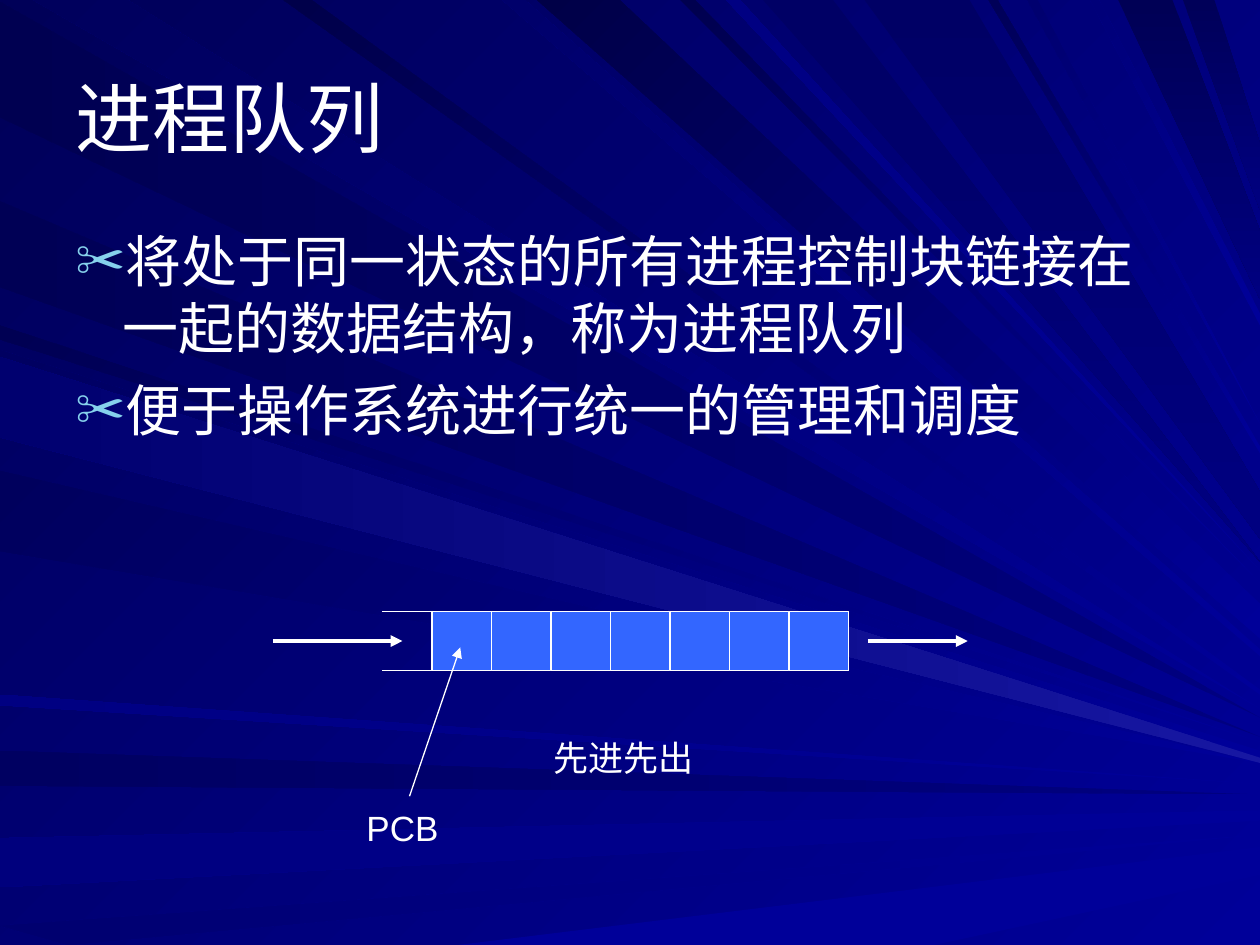
from dataclasses import dataclass

from lxml.etree import SubElement
from pptx import Presentation
from pptx.dml.color import RGBColor as Color
from pptx.enum.shapes import MSO_CONNECTOR as Connector, MSO_SHAPE as Shape
from pptx.enum.text import MSO_ANCHOR as Anchor
from pptx.oxml.ns import qn
from pptx.util import Pt


@dataclass(frozen=True)
class Theme:
    font: str = "Arial"
    white: str = "FFFFFF"
    cell: str = "3366FF"
    bullet: str = "86D1EC"
    bright: str = "000099"
    middle: str = "000080"
    dark: str = "000058"
    title: int = 44
    body: int = 32
    label: int = 20
    thin: float = 0.75
    thick: float = 2.25


theme = Theme()
wide, high = 720, 540


def paint(fill, start, end, angle):
    fill.gradient()
    fill.gradient_angle = angle
    for stop, shade in zip(fill.gradient_stops, (start, end)):
        stop.color.rgb = Color.from_string(shade)


def add_text(left, top, width, height, lines, size, before=0):
    box = page.shapes.add_textbox(Pt(left), Pt(top), Pt(width), Pt(height))
    frame = box.text_frame
    frame.word_wrap = True
    for index, line in enumerate(lines):
        para = frame.paragraphs[0] if index == 0 else frame.add_paragraph()
        para.space_before = Pt(before)
        span = para.add_run()
        span.text = line
        span.font.name = theme.font
        span.font.size = Pt(size)
        span.font.color.rgb = Color.from_string(theme.white)
    return frame


deck = Presentation()
deck.slide_width, deck.slide_height = Pt(wide), Pt(high)
page = deck.slides.add_slide(deck.slide_layouts[6])
across, diagonal, down = 180, 135, 270
paint(page.background.fill, theme.bright, theme.dark, diagonal)

rays = [
    (theme.middle, "000051", across, -67, -1, 410),
    (theme.bright, "00005D", diagonal, 19, 73, 405),
    (theme.middle, "000061", across, -449, -429, 454),
    (theme.bright, "00007D", across, -507, -479, 463, 469),
    (theme.bright, "00006F", across, -579, -529, 477),
    (theme.bright, theme.bright, across, -1074, -802, 484, 500),
    (theme.bright, "000053", diagonal, -194, -186, 424),
    (theme.middle, "000055", across, -164, -115, 421),
    (theme.bright, "00006B", diagonal, 287, 300, 371, 375),
    (theme.bright, "000047", diagonal, 307, 354, 345, 365),
    (theme.bright, "00004F", diagonal, 389, 397, 333),
    ("000065", theme.middle, down, 436, 476, 321),
    ("000055", theme.middle, down, 639, 670, 132, 171),
    ("000059", theme.middle, down, 676, 694, 82, 120),
    (theme.bright, "000061", diagonal, -246, -200, 429, 433),
    (theme.bright, "00005D", diagonal, -315, -269, 436),
    (theme.bright, "000082", across, -403, -397, 448),
    (theme.bright, "00004A", diagonal, 162, 178, 394, 397),
    (theme.bright, "000082", diagonal, 415, 423, 326),
    ("000065", theme.middle, down, 494, 554, 281, 308),
    (theme.bright, "000058", diagonal, 565, 570, 255, 259),
    (theme.bright, "00006F", diagonal, 587, 593, 242),
    (theme.bright, "000079", diagonal, 623, 628, 179, 186),
    ("1717A2", "00006F", across, -250, -204, 433, 436),
]
for start, end, angle, first, last, *tips in rays:
    corners = [(max(edge, -edge - high, 0), min(max(-edge, 0), high)) for edge in (first, last)]
    corners += [(wide, tip) for tip in tips]
    points = [(Pt(x), Pt(y)) for x, y in corners]
    outline = page.shapes.build_freeform(*points[0])
    outline.add_line_segments(points[1:], close=True)
    ray = outline.convert_to_shape()
    ray.shadow.inherit = False
    ray.line.fill.background()
    paint(ray.fill, start, end, angle)

title = add_text(36, 21.6, 648, 90, ["进程队列"], theme.title)
title.vertical_anchor = Anchor.MIDDLE

statements = [
    "将处于同一状态的所有进程控制块链接在一起的数据结构，称为进程队列",
    "便于操作系统进行统一的管理和调度",
]
body = add_text(36, 126, 648, 356.4, statements, theme.body, before=8)
for para in body.paragraphs:
    props = para._p.get_or_add_pPr()
    props.set("marL", str(Pt(27)))
    props.set("indent", str(-Pt(27)))
    tint = SubElement(props, qn("a:buClr"))
    SubElement(tint, qn("a:srgbClr"), val=theme.bullet)
    SubElement(props, qn("a:buSzPct"), val="90000")
    SubElement(props, qn("a:buFont"), typeface=theme.font)
    SubElement(props, qn("a:buChar"), char="✂")

cell_size, cell_count = 34, 7
mouth, queue_left, queue_top = 218.2, 246.8, 349.3
queue_right = queue_left + cell_count * cell_size
queue_bottom = queue_top + cell_size
queue_middle = queue_top + cell_size / 2

outline = page.shapes.build_freeform(Pt(mouth), Pt(queue_top))
outline.add_line_segments(
    [(Pt(queue_right), Pt(queue_top)), (Pt(queue_right), Pt(queue_bottom)),
     (Pt(mouth), Pt(queue_bottom))],
    close=False,
)
queue = outline.convert_to_shape()
queue.fill.background()
cells = [
    page.shapes.add_shape(Shape.RECTANGLE, Pt(queue_left + index * cell_size),
                          Pt(queue_top), Pt(cell_size), Pt(cell_size))
    for index in reversed(range(cell_count))
]
for cell in cells:
    cell.fill.solid()
    cell.fill.fore_color.rgb = Color.from_string(theme.cell)
for shape in [queue, *cells]:
    shape.shadow.inherit = False
    shape.line.color.rgb = Color.from_string(theme.white)
    shape.line.width = Pt(theme.thin)

arrows = [
    (496, queue_middle, 553, queue_middle, theme.thick),
    (156, queue_middle, 230, queue_middle, theme.thick),
    (234, 455, 263, 370, theme.thin),
]
for *ends, weight in arrows:
    arrow = page.shapes.add_connector(Connector.STRAIGHT, *map(Pt, ends))
    arrow.line.color.rgb = Color.from_string(theme.white)
    arrow.line.width = Pt(weight)
    SubElement(arrow.line._get_or_add_ln(), qn("a:tailEnd"), type="triangle")
    SubElement(arrow._element.spPr, qn("a:effectLst"))

add_text(309, 417.6, 107, 31.7, ["先进先出"], theme.label, before=12.5)
add_text(202.3, 457.2, 62.6, 31.7, ["PCB"], theme.label, before=12.5)

deck.save("out.pptx")
